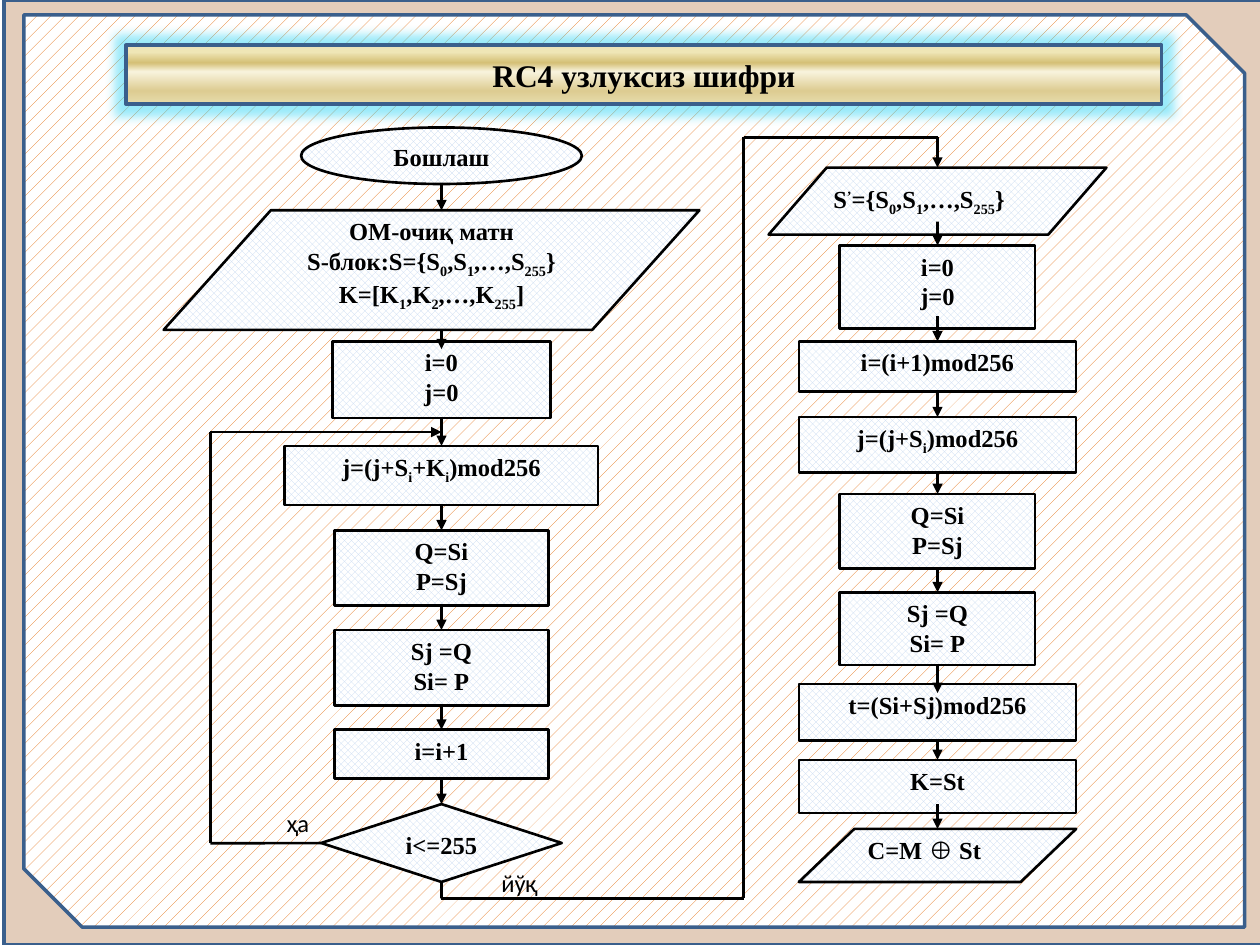
from lxml.etree import SubElement
from pptx import Presentation
from pptx.dml.color import RGBColor
from pptx.enum.dml import MSO_PATTERN
from pptx.enum.shapes import MSO_CONNECTOR, MSO_SHAPE
from pptx.enum.text import MSO_ANCHOR, MSO_AUTO_SIZE, PP_ALIGN
from pptx.oxml.ns import qn
from pptx.util import Cm, Pt

TITLE = "RC4 узлуксиз шифри"
TITLE_STOPS = [(0, "EBE3BD"), (12, "EFE6B6"), (30, "D4BF75"),
               (45, "F8F3DD"), (77, "DDCC92"), (100, "E6DCAC")]
FRAME_COLOUR = "3A5F8C"
LEFT, RIGHT = 8.9, 18.9  # column centres
RECT, SLANTED = MSO_SHAPE.RECTANGLE, MSO_SHAPE.FLOWCHART_DATA

# shape, centre, top, width, height, lines; text between bars is subscript
STEPS = [
    (MSO_SHAPE.OVAL, LEFT, 2.57, 5.66, 1.14, ["Бошлаш"]),
    (SLANTED, 8.7, 4.24, 10.8, 2.41,
     ["ОМ-очиқ матн", "S-блок:S={S|0|,S|1|,…,S|255|}", "K=[K|1|,K|2|,…,K|255|]"]),
    (RECT, LEFT, 6.88, 4.39, 1.55, ["i=0", "j=0"]),
    (RECT, LEFT, 8.99, 6.32, 1.19, ["j=(j+S|i|+K|i|)mod256"]),
    (RECT, LEFT, 10.69, 4.32, 1.52, ["Q=Si", "P=Sj"]),
    (RECT, LEFT, 12.7, 4.32, 1.52, ["Sj =Q", "Si= P"]),
    (RECT, LEFT, 14.71, 4.32, 0.99, ["i=i+1"]),
    (MSO_SHAPE.FLOWCHART_DECISION, LEFT, 16.21, 4.85, 1.57, ["i<=255"]),
    (MSO_SHAPE.PARALLELOGRAM, RIGHT, 3.38, 6.81, 1.35, ["S|’|={S|0|,S|1|,…,S|255|}"]),
    (RECT, RIGHT, 4.95, 3.94, 1.68, ["i=0", "j=0"]),
    (RECT, RIGHT, 6.88, 5.59, 1.02, ["i=(i+1)mod256"]),
    (RECT, RIGHT, 8.41, 5.59, 1.12, ["j=(j+S|i|)mod256"]),
    (RECT, RIGHT, 9.96, 3.94, 1.5, ["Q=Si", "P=Sj"]),
    (RECT, RIGHT, 11.94, 3.94, 1.47, ["Sj =Q", "Si= P"]),
    (RECT, RIGHT, 13.79, 5.59, 1.14, ["t=(Si+Sj)mod256"]),
    (RECT, RIGHT, 15.32, 5.59, 1.07, ["K=St"]),
    (SLANTED, RIGHT, 16.71, 5.59, 1.07, ["C=M ⊕ St"]),
]
# vertical arrows of each column: start and end height
DOWN_ARROWS = {
    LEFT: [(3.71, 4.24), (6.65, 7.04), (8.46, 8.97), (10.19, 10.69),
           (12.22, 12.73), (14.2, 14.71), (15.65, 16.15)],
    RIGHT: [(4.47, 4.95), (6.38, 6.88), (7.92, 8.43), (9.45, 9.96),
            (11.43, 11.94), (13.46, 13.97), (14.86, 15.37), (16.21, 16.71)],
}
YES_ROUTE = [(6.48, 17), (4.24, 17), (4.24, 8.71), (LEFT, 8.71)]
NO_ROUTE = [(LEFT, 17.78), (LEFT, 18.11), (14.99, 18.11),
            (14.99, 2.77), (RIGHT, 2.77), (RIGHT, 3.38)]
BRANCH_LABELS = [("ҳа", 5.51, 16.33, 0.99, 0.51), ("йўқ", 9.7, 17.48, 1.55, 0.61)]


def colour(hex_text):
    return RGBColor.from_string(hex_text)


def set_line(shape, hex_text, width):
    shape.line.color.rgb = colour(hex_text)
    shape.line.width = Pt(width)


def set_pattern(shape, pattern, front):
    shape.fill.patterned()
    shape.fill.pattern = pattern
    shape.fill.fore_color.rgb = colour(front)
    shape.fill.back_color.rgb = colour("FFFFFF")


def add_child(parent, tag, **attributes):
    return SubElement(parent, qn(tag), {key: str(value) for key, value in attributes.items()})


def add_box(slide, kind, left, top, width, height):
    box = slide.shapes.add_shape(kind, Cm(left), Cm(top), Cm(width), Cm(height))
    box.shadow.inherit = False
    return box


def write(frame, lines, align=PP_ALIGN.CENTER, **font_values):
    values = {"name": "Times New Roman", "size": Pt(14), "bold": True, **font_values}
    for index, line in enumerate(lines):
        para = frame.add_paragraph() if index else frame.paragraphs[0]
        para.alignment = align
        for part, text in enumerate(line.split("|")):
            span = para.add_run()
            span.text = text
            for key, value in values.items():
                setattr(span.font, key, value)
            span.font.color.rgb = colour("000000")
            if part % 2:
                baseline = 30000 if text == "’" else -25000
                span._r.get_or_add_rPr().set("baseline", str(baseline))


def add_frame(slide):
    """Draw the tinted backdrop and the hatched panel; return the panel."""
    backdrop = add_box(slide, RECT, 0.08, 0, 25.4, 19.05)
    backdrop.fill.solid()
    backdrop.fill.fore_color.rgb = colour("984807")
    tint = backdrop.element.spPr.find(qn("a:solidFill"))[0]
    add_child(tint, "a:alpha", val=27000)
    panel = add_box(slide, MSO_SHAPE.SNIP_2_DIAG_RECTANGLE, 0.48, 0.3, 24.61, 18.39)
    panel.adjustments[0], panel.adjustments[1] = 0, 0.064
    set_pattern(panel, MSO_PATTERN.PERCENT_10, "E46C0A")
    for shape in (backdrop, panel):
        set_line(shape, FRAME_COLOUR, 2)
    return panel


def add_title(slide, panel):
    title = slide.shapes.title
    panel.element.addnext(title.element)
    title.left, title.top, title.width, title.height = Cm(2.54), Cm(0.91), Cm(20.88), Cm(1.19)
    title.fill.gradient()
    title.fill.gradient_angle = 270
    stops = title.element.spPr.find(qn("a:gradFill")).find(qn("a:gsLst"))
    for stop in list(stops):
        stops.remove(stop)
    for position, hex_text in TITLE_STOPS:
        stop = add_child(stops, "a:gs", pos=position * 1000)
        add_child(stop, "a:srgbClr", val=hex_text)
    set_line(title, FRAME_COLOUR, 2)
    glow = add_child(add_child(title.element.spPr, "a:effectLst"), "a:glow", rad=139700)
    add_child(add_child(glow, "a:srgbClr", val="33D5F5"), "a:alpha", val=50000)
    frame = title.text_frame
    frame.auto_size = MSO_AUTO_SIZE.NONE
    frame.vertical_anchor = MSO_ANCHOR.MIDDLE
    write(frame, [TITLE], size=Pt(18))


def add_step(slide, kind, centre, top, width, height, lines):
    box = add_box(slide, kind, centre - width / 2, top, width, height)
    set_pattern(box, MSO_PATTERN.OUTLINED_DIAMOND, "C6D9F1")
    set_line(box, "000000", 1.5)
    frame = box.text_frame
    frame.word_wrap = True
    frame.vertical_anchor = MSO_ANCHOR.TOP
    align = PP_ALIGN.CENTER
    if kind == MSO_SHAPE.PARALLELOGRAM:
        box.adjustments[0] = 0.868
        align = PP_ALIGN.LEFT
    elif kind == SLANTED and len(lines) == 1:
        frame.margin_left, frame.margin_right = Cm(0.05), Cm(0.58)
    write(frame, lines, align)
    return box


def find_side(boxes, point):
    """Return the box and side number whose middle lies at the point, if any."""
    for box in boxes:
        middle_x, middle_y = box.left + box.width / 2, box.top + box.height / 2
        sides = [(middle_x, box.top), (box.left, middle_y),
                 (middle_x, box.top + box.height), (box.left + box.width, middle_y)]
        for number, (x, y) in enumerate(sides):
            if max(abs(x - Cm(point[0])), abs(y - Cm(point[1]))) < Cm(0.1):
                return box, number
    return None


def add_route(slide, points, boxes):
    """Draw straight segments through the points, with an arrowhead at the end."""
    for start, end in zip(points, points[1:]):
        segment = slide.shapes.add_connector(
            MSO_CONNECTOR.STRAIGHT, *(Cm(value) for value in start + end))
        set_line(segment, "000000", 1.5)
        if end == points[-1]:
            add_child(segment.line._get_or_add_ln(), "a:tailEnd", type="triangle")
        add_child(segment.element.spPr, "a:effectLst")
        for point, join in ((start, segment.begin_connect), (end, segment.end_connect)):
            side = find_side(boxes, point)
            if side:
                join(*side)


def main():
    deck = Presentation()
    deck.slide_width, deck.slide_height = Cm(25.4), Cm(19.05)
    slide = deck.slides.add_slide(deck.slide_layouts[5])
    add_title(slide, add_frame(slide))

    joinable = []
    for step in STEPS:
        box = add_step(slide, *step)
        if step[0] in (RECT, MSO_SHAPE.FLOWCHART_DECISION):
            joinable.append(box)

    arrows = [[(x, start), (x, end)] for x, spans in DOWN_ARROWS.items() for start, end in spans]
    for route in arrows + [YES_ROUTE, NO_ROUTE]:
        add_route(slide, route, joinable)

    for text, *place in BRANCH_LABELS:
        label = slide.shapes.add_textbox(*(Cm(value) for value in place))
        frame = label.text_frame
        frame.word_wrap = False
        frame.vertical_anchor = MSO_ANCHOR.MIDDLE
        for side in ("left", "top", "right", "bottom"):
            setattr(frame, f"margin_{side}", 0)
        write(frame, [text], name="Calibri", bold=False)

    deck.save("out.pptx")


if __name__ == "__main__":
    main()
